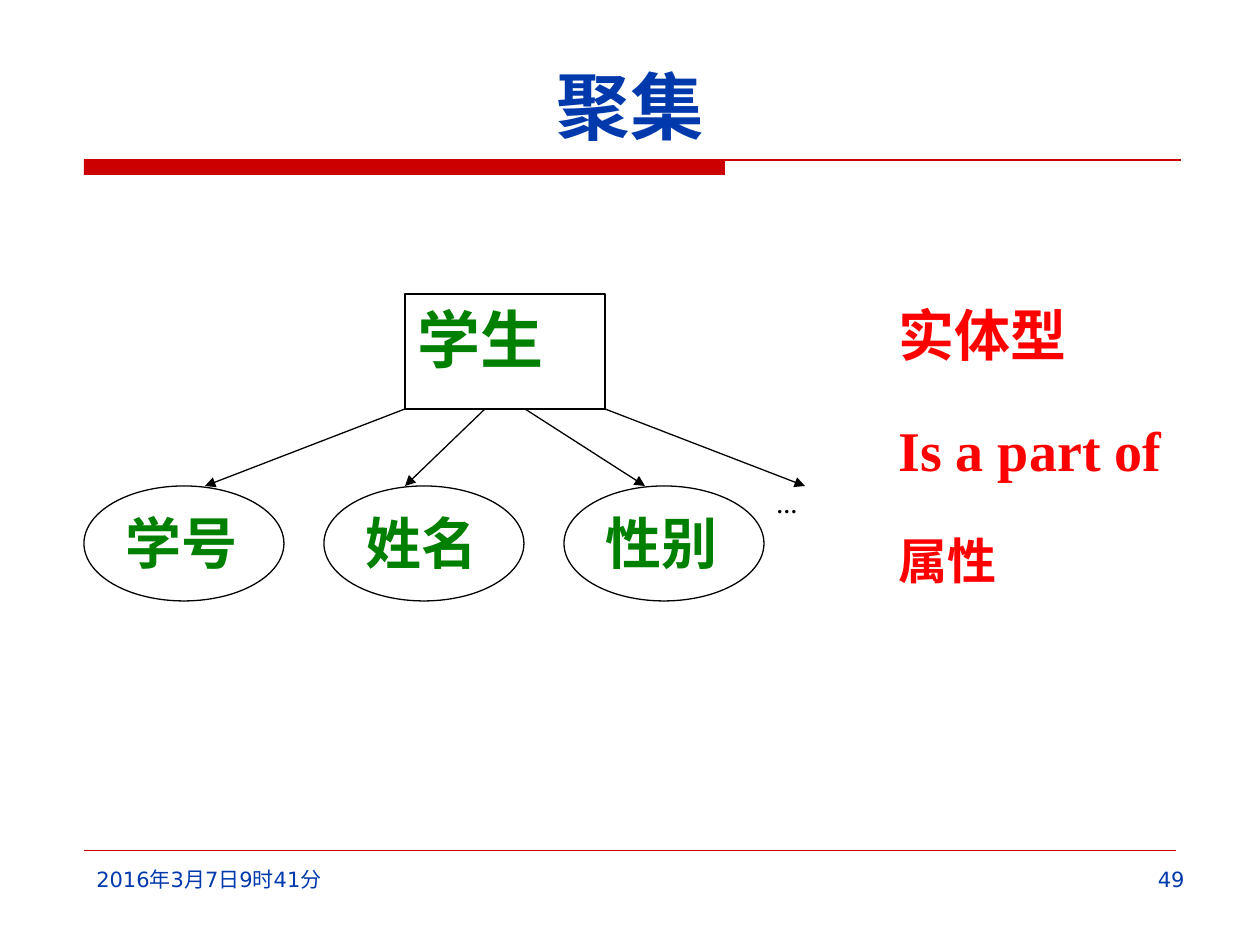
"""Build the aggregation slide: an entity type, its attributes and a legend."""
from lxml.etree import SubElement
from pptx import Presentation
from pptx.dml.color import RGBColor
from pptx.enum.shapes import MSO_CONNECTOR, MSO_SHAPE
from pptx.enum.text import MSO_ANCHOR as ANCHOR, PP_ALIGN as ALIGN
from pptx.oxml.ns import qn
from pptx.util import Pt

COLORS = {"white": "FFFFFF", "black": "000000", "bar": "CC0000",
          "blue": "0039AC", "green": "008000", "red": "FF0000"}
SANS, SERIF, CJK = "DejaVu Sans", "Times New Roman", "Noto Sans CJK SC"
SCALE = 914400 / 126

ATTRIBUTES = ["学号", "姓名", "性别"]
LEGEND = [("实体型", 32, 280), ("Is a part of", 32, 320), ("属性", 28, 240)]
ARROWS = [(405, 205), (485, 405), (525, 645), (605, 805)]
NODE_W, NODE_H = 200, 115
TOP, LEFT, STEP = 294, 84, 240
ENTITY_X, LEGEND_X = 405, 886
ARROW_Y = TOP + NODE_H
ATTR_Y = 486


def px(n):
    return round(n * SCALE)


def rgb(name):
    return RGBColor.from_string(COLORS[name])


def write(sp, text, *, size, color, font=SERIF, bold=True,
          align=ALIGN.JUSTIFY, anchor=ANCHOR.TOP):
    tf = sp.text_frame
    tf.word_wrap = True
    tf.vertical_anchor = anchor
    p = tf.paragraphs[0]
    p.alignment = align
    r = p.add_run()
    r.text = text
    r.font.size, r.font.bold, r.font.name = Pt(size), bold, font
    r.font.color.rgb = rgb(color)
    SubElement(r._r.get_or_add_rPr(), qn("a:ea"), typeface=CJK)


def box(s, x, y, w, h, kind=MSO_SHAPE.RECTANGLE, fill="white", line=None):
    sp = s.shapes.add_shape(kind, px(x), px(y), px(w), px(h))
    sp.shadow.inherit = False
    sp.fill.solid()
    sp.fill.fore_color.rgb = rgb(fill)
    if line:
        sp.line.color.rgb = rgb(line)
        sp.line.width = Pt(0.75)
    else:
        sp.line.fill.background()
    return sp


def label(s, x, y, w, h, text, **style):
    write(s.shapes.add_textbox(px(x), px(y), px(w), px(h)), text, **style)


def connect(s, x1, y1, x2, y2, color="black", width=0.75, arrow=False):
    line = s.shapes.add_connector(MSO_CONNECTOR.STRAIGHT, px(x1), px(y1), px(x2), px(y2))
    line.line.color.rgb = rgb(color)
    line.line.width = Pt(width)
    if arrow:
        SubElement(line.line._get_or_add_ln(), qn("a:tailEnd"), type="triangle")
    SubElement(line._element.spPr, qn("a:effectLst"))


def main():
    prs = Presentation()
    prs.slide_width, prs.slide_height = px(1260), px(945)
    s = prs.slides.add_slide(prs.slide_layouts[6])

    box(s, LEFT, 160, 641, 15, fill="bar")
    connect(s, LEFT, 160, 1181, 160, color="bar")
    connect(s, LEFT, 850, 1176, 850, color="bar", width=0.25)
    label(s, 79, 42, 1102, 113, "聚集", size=42, color="blue", font=CJK,
          align=ALIGN.CENTER, anchor=ANCHOR.BOTTOM)

    entity = box(s, ENTITY_X, TOP, NODE_W, NODE_H, line="black")
    write(entity, "学生", size=36, color="green")
    more = box(s, LEFT + 2 * STEP + NODE_W, ATTR_Y, 160, NODE_H)
    write(more, "…", size=12, color="black")
    for start, end in ARROWS:
        connect(s, start, ARROW_Y, end, ATTR_Y, arrow=True)
    for i, name in enumerate(ATTRIBUTES):
        node = box(s, LEFT + i * STEP, ATTR_Y, NODE_W, NODE_H,
                   kind=MSO_SHAPE.OVAL, line="black")
        write(node, name, size=32, color="green")
    for i, (text, size, width) in enumerate(LEGEND):
        note = box(s, LEGEND_X, TOP + i * NODE_H, width, NODE_H)
        write(note, text, size=size, color="red")

    footer = {"size": 12, "color": "blue", "font": SANS, "bold": False}
    label(s, LEFT, 860, 278, 66, "2016年3月7日9时41分", align=ALIGN.LEFT, **footer)
    label(s, 924, 860, 273, 66, "49", align=ALIGN.RIGHT, **footer)
    prs.save("out.pptx")


if __name__ == "__main__":
    main()
